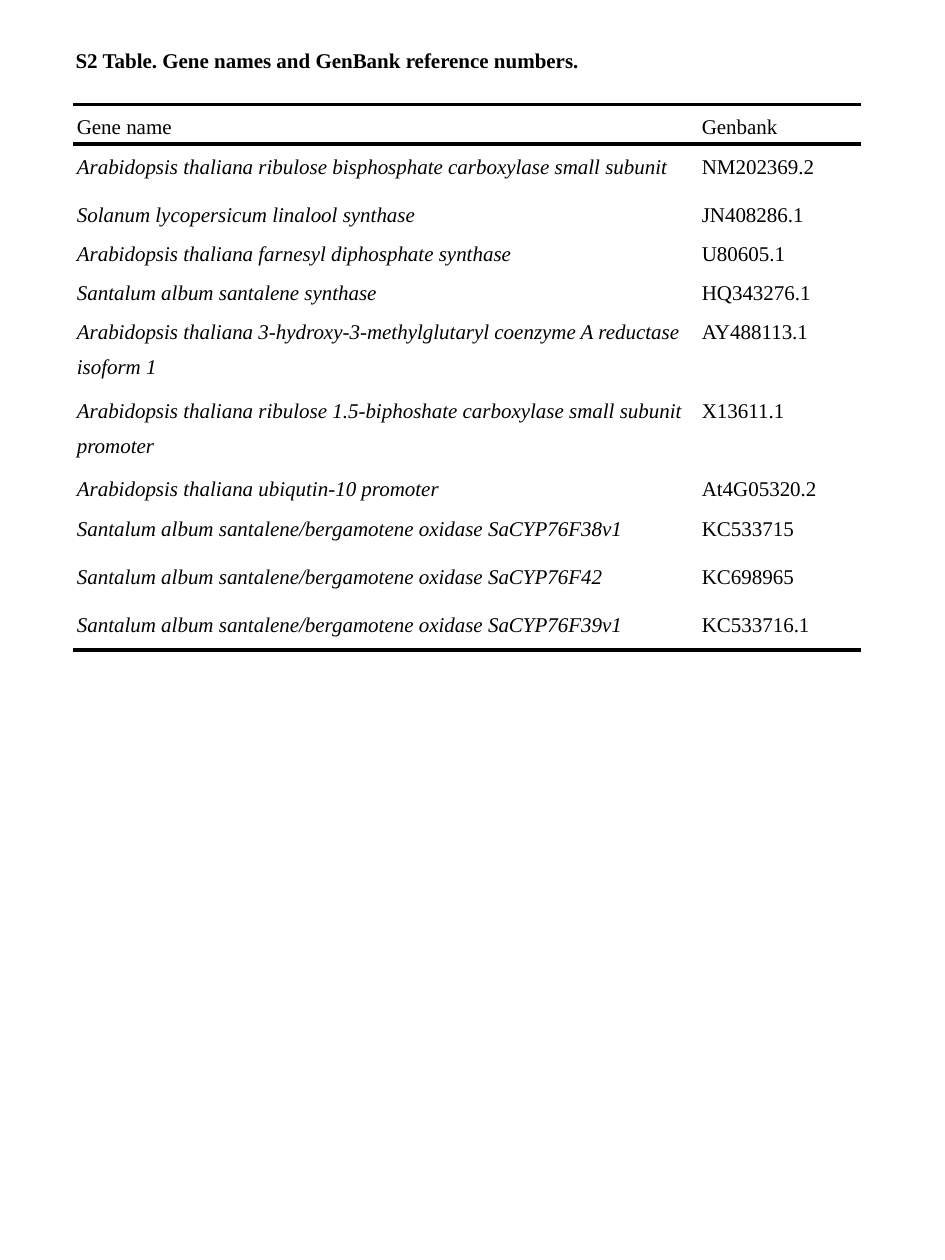
from typing import NamedTuple

from lxml import etree
from pptx import Presentation
from pptx import util as u
from pptx.dml.color import RGBColor
from pptx.enum import text
from pptx.oxml import ns

FONT = "Times New Roman"
INK = "000000"
RULE_WIDTH = 2.25
SHORT, TALL, DOUBLE = 0.31, 0.38, 0.62
TABLE_LEFT, TABLE_TOP, TABLE_HEIGHT = 0.58, 0.83, 4.33
COLUMN_WIDTHS = (4.96, 1.29)


class Gene(NamedTuple):
    """One table row: gene name, accession number and relative height."""
    name: str
    accession: str
    height: float = SHORT


HEADER = Gene("Gene name", "Genbank")
GENES = [
    Gene("Arabidopsis thaliana ribulose bisphosphate carboxylase small subunit",
         "NM202369.2", TALL),
    Gene("Solanum lycopersicum linalool synthase", "JN408286.1"),
    Gene("Arabidopsis thaliana farnesyl diphosphate synthase ", "U80605.1"),
    Gene("Santalum album santalene synthase", "HQ343276.1"),
    Gene("Arabidopsis thaliana 3-hydroxy-3-methylglutaryl coenzyme A reductase isoform 1",
         "AY488113.1", DOUBLE),
    Gene("Arabidopsis thaliana ribulose 1.5-biphoshate carboxylase small subunit promoter",
         "X13611.1", DOUBLE),
    Gene("Arabidopsis thaliana ubiqutin-10 promoter", "At4G05320.2"),
    Gene("Santalum album santalene/bergamotene oxidase SaCYP76F38v1", "KC533715", TALL),
    Gene("Santalum album santalene/bergamotene oxidase SaCYP76F42", "KC698965", TALL),
    Gene("Santalum album santalene/bergamotene oxidase SaCYP76F39v1", "KC533716.1", TALL),
]


def color(value: str) -> RGBColor:
    """Turn a hex string into a colour."""
    return RGBColor.from_string(value)


def write(frame, words: str, *, size: float = 12, bold: bool = False,
          italic: bool = False, spacing: float = 1.0) -> None:
    """Write one left-aligned paragraph into a text frame."""
    paragraph = frame.paragraphs[0]
    paragraph.alignment = text.PP_ALIGN.LEFT
    paragraph.line_spacing = spacing
    run = paragraph.add_run()
    run.text = words
    run.font.name = FONT
    run.font.size = u.Pt(size)
    run.font.bold = bold
    run.font.italic = italic
    run.font.color.rgb = color(INK)


def set_borders(cell, ruled: str) -> None:
    """Rule the named sides (of L, R, T, B) and clear the others."""
    properties = cell._tc.get_or_add_tcPr()
    for position, side in enumerate("LRTB"):
        line = etree.Element(ns.qn(f"a:ln{side}"))
        if side in ruled:
            line.set("w", str(u.Pt(RULE_WIDTH)))
            fill = etree.SubElement(line, ns.qn("a:solidFill"))
            etree.SubElement(fill, ns.qn("a:srgbClr"), val=INK)
        else:
            etree.SubElement(line, ns.qn("a:noFill"))
        properties.insert(position, line)


def format_cell(cell, words: str, ruled: str, italic: bool) -> None:
    """Fill in one cell and set its margins and rules."""
    cell.margin_left = cell.margin_right = u.Inches(0.03)
    cell.margin_top = cell.margin_bottom = 0
    cell.vertical_anchor = text.MSO_ANCHOR.TOP
    cell.fill.background()
    set_borders(cell, ruled)
    write(cell.text_frame, words, italic=italic, spacing=1.5)


def add_heading(slide, words: str) -> None:
    """Place and write the slide title."""
    heading = slide.shapes.title
    heading.left, heading.top = u.Inches(0.5), u.Inches(0.33)
    heading.width, heading.height = u.Inches(4.5), u.Inches(0.3)
    frame = heading.text_frame
    frame.word_wrap = True
    frame.auto_size = text.MSO_AUTO_SIZE.SHAPE_TO_FIT_TEXT
    frame.vertical_anchor = text.MSO_ANCHOR.MIDDLE
    write(frame, words, bold=True)


def add_gene_table(slide) -> None:
    """Draw the gene table, ruled around its header and at its foot."""
    entries = [HEADER, *GENES]
    table = slide.shapes.add_table(
        len(entries), len(COLUMN_WIDTHS), u.Inches(TABLE_LEFT), u.Inches(TABLE_TOP),
        u.Inches(sum(COLUMN_WIDTHS)), u.Inches(TABLE_HEIGHT)).table
    table.first_row = table.horz_banding = False
    for column, width in zip(table.columns, COLUMN_WIDTHS):
        column.width = u.Inches(width)
    scale = TABLE_HEIGHT / sum(entry.height for entry in entries)
    rules = {0: "TB", 1: "T", len(entries) - 1: "B"}
    for index, entry in enumerate(entries):
        table.rows[index].height = u.Inches(entry.height * scale)
        ruled = rules.get(index, "")
        format_cell(table.cell(index, 0), entry.name, ruled, italic=index > 0)
        format_cell(table.cell(index, 1), entry.accession, ruled, italic=False)


def main() -> None:
    """Build and save the slide."""
    deck = Presentation()
    deck.slide_width, deck.slide_height = u.Inches(7.5), u.Inches(10)
    slide = deck.slides.add_slide(deck.slide_layouts.get_by_name("Title Only"))
    add_heading(slide, "S2 Table. Gene names and GenBank reference numbers.")
    add_gene_table(slide)
    deck.save("out.pptx")


main()
